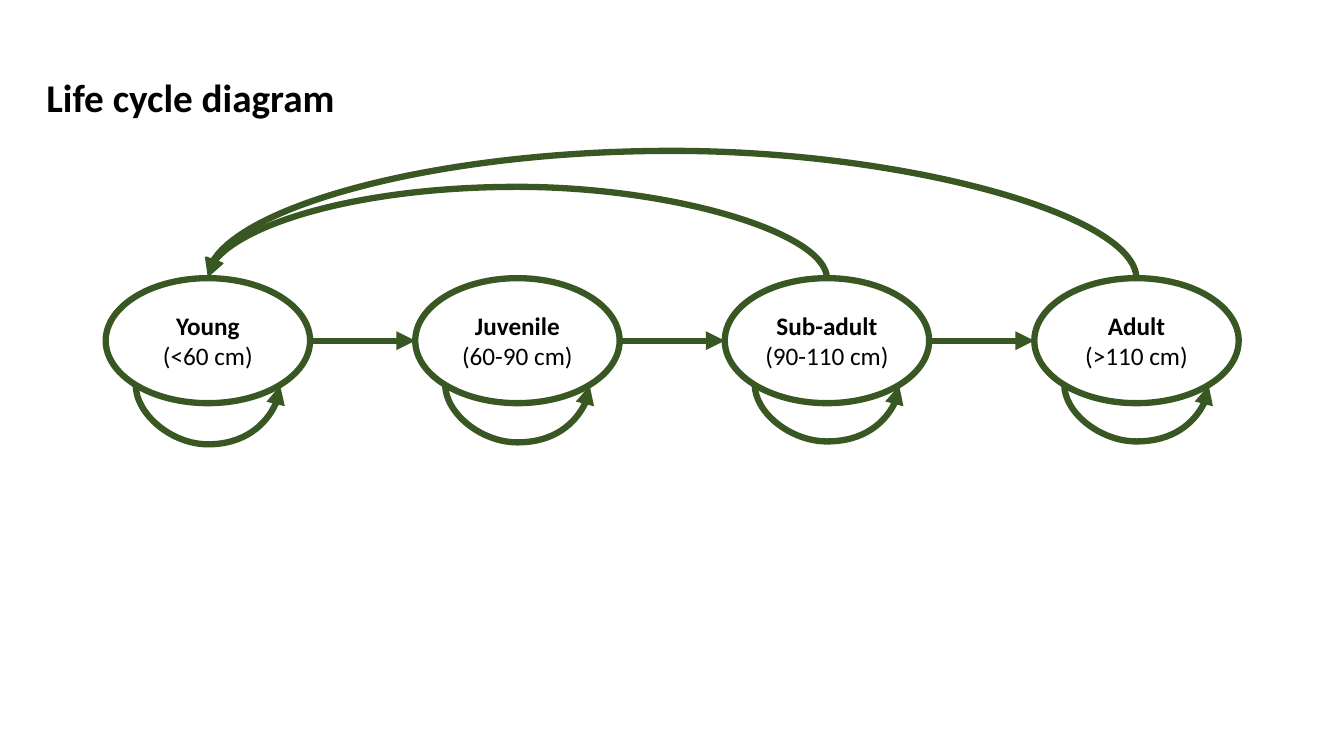
from lxml import etree
from pptx import Presentation
from pptx.dml.color import RGBColor
from pptx.enum import shapes, text
from pptx.oxml import ns
from pptx.util import Pt

GREEN = RGBColor(0x38, 0x57, 0x23)
WHITE = RGBColor(0xFF, 0xFF, 0xFF)
BLACK = RGBColor(0x00, 0x00, 0x00)

STAGES = [  # name, size class, depth of the loop below
    ("Young", "(<60 cm)", 43.3),
    ("Juvenile", "(60-90 cm)", 41.9),
    ("Sub-adult", "(90-110 cm)", 41.2),
    ("Adult", "(>110 cm)", 41.2),
]
LEFT, TOP, WIDTH, HEIGHT, PITCH = 75.5, 198.7, 146, 89.3, 221.1
MIDDLE = TOP + HEIGHT / 2
DIAGONAL = 0.5 ** 0.5  # ellipse point at 45 degrees


def write(para, words, size=18, bold=False, align=text.PP_ALIGN.CENTER):
    para.alignment = align
    span = para.add_run()
    span.text = words
    span.font.name = "Calibri"
    span.font.size = Pt(size)
    span.font.bold = bold
    span.font.color.rgb = BLACK


def add_arrow(kind, x1, y1, x2, y2, bend=None):
    arrow = page.shapes.add_connector(kind, Pt(x1), Pt(y1), Pt(x2), Pt(y2))
    arrow.line.color.rgb = GREEN
    arrow.line.width = Pt(4.5)
    properties = arrow._element.spPr
    etree.SubElement(arrow.line._get_or_add_ln(), ns.qn("a:tailEnd"), type="triangle")
    etree.SubElement(properties, ns.qn("a:effectLst"))
    if bend is not None:
        # A curve is turned a quarter left; its bend is a share of its width
        properties.find(ns.qn("a:xfrm")).set("rot", "16200000")
        guides = properties.find(ns.qn("a:prstGeom")).find(ns.qn("a:avLst"))
        etree.SubElement(guides, ns.qn("a:gd"), name="adj1",
                         fmla=f"val {round(bend * 100000)}")


deck = Presentation()
deck.slide_width, deck.slide_height = Pt(960), Pt(540)
page = deck.slides.add_slide(deck.slide_layouts[5])

# Title
title = page.shapes.title
title.left, title.top, title.width, title.height = Pt(25.9), Pt(19.4), Pt(828), Pt(104.4)
title.text_frame.vertical_anchor = text.MSO_ANCHOR.MIDDLE
heading = title.text_frame.paragraphs[0]
heading.line_spacing = 0.9
write(heading, "Life cycle diagram", size=28, bold=True, align=text.PP_ALIGN.LEFT)

# Life stages
for i, (name, length, depth) in enumerate(STAGES):
    stage = page.shapes.add_shape(shapes.MSO_SHAPE.OVAL, Pt(LEFT + i * PITCH), Pt(TOP),
                                  Pt(WIDTH), Pt(HEIGHT))
    stage.shadow.inherit = False
    stage.fill.solid()
    stage.fill.fore_color.rgb = WHITE
    stage.line.color.rgb = GREEN
    stage.line.width = Pt(4.5)
    frame = stage.text_frame
    frame.vertical_anchor = text.MSO_ANCHOR.MIDDLE
    write(frame.paragraphs[0], name, bold=True)
    write(frame.add_paragraph(), length)

# Growth into the next stage
for i in range(len(STAGES) - 1):
    start = LEFT + i * PITCH + WIDTH
    add_arrow(shapes.MSO_CONNECTOR.STRAIGHT, start, MIDDLE, start + PITCH - WIDTH, MIDDLE)

# Staying in the same stage: frame 1 pt wide before the turn, flipped sideways
reach = WIDTH * DIAGONAL
loop_y = MIDDLE + HEIGHT / 2 * DIAGONAL
for i, (name, length, depth) in enumerate(STAGES):
    center = LEFT + i * PITCH + WIDTH / 2
    add_arrow(shapes.MSO_CONNECTOR.CURVE, center + 0.5, loop_y - reach / 2,
              center - 0.5, loop_y + reach / 2, bend=depth)

# Reproduction: frame 1 pt wide before the turn, flipped upside down
for i, rise in ((2, 66.24), (3, 92.16)):
    span_width = i * PITCH
    center = LEFT + WIDTH / 2 + span_width / 2
    add_arrow(shapes.MSO_CONNECTOR.CURVE, center - 0.5, TOP + span_width / 2,
              center + 0.5, TOP - span_width / 2, bend=rise)

deck.save("out.pptx")
